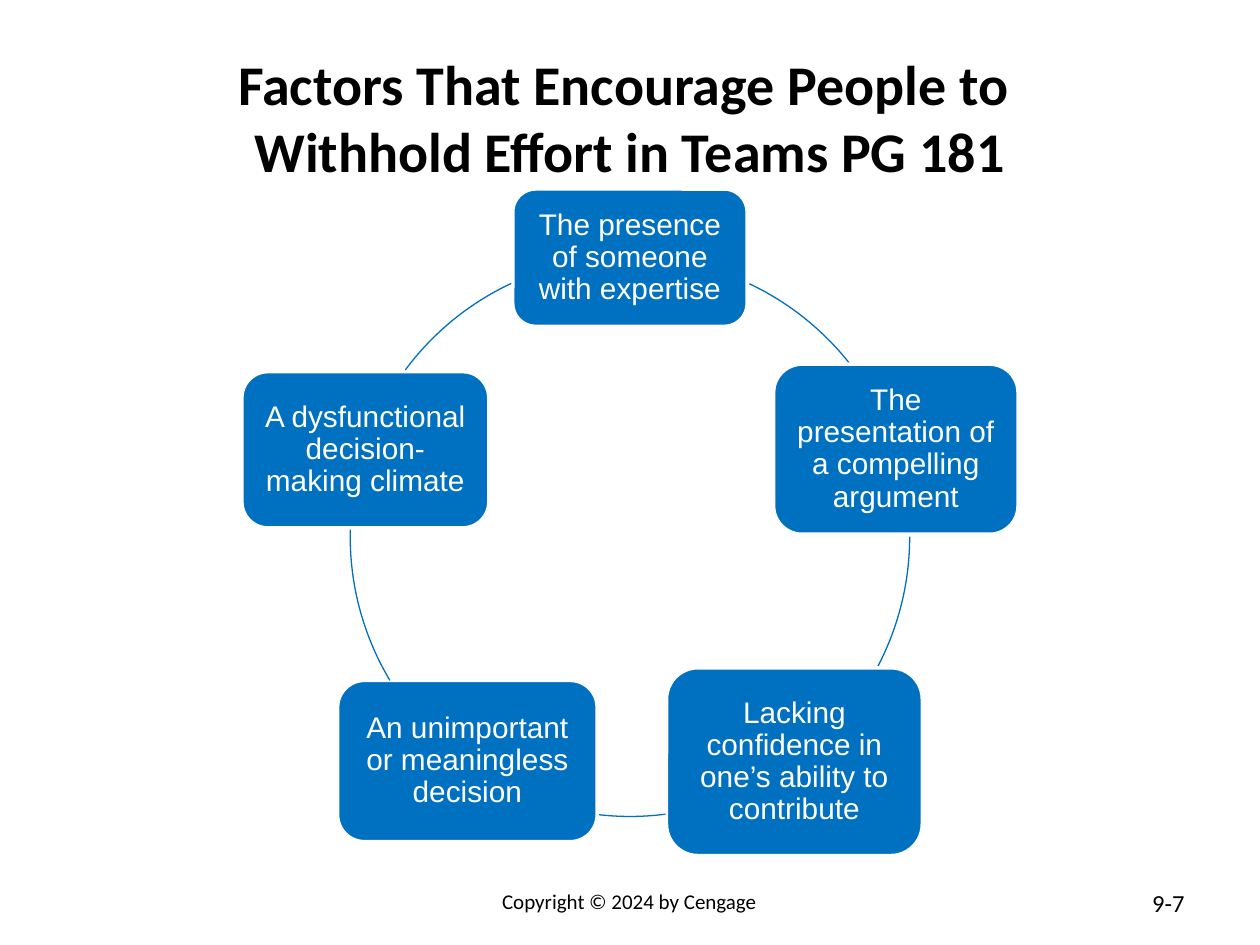
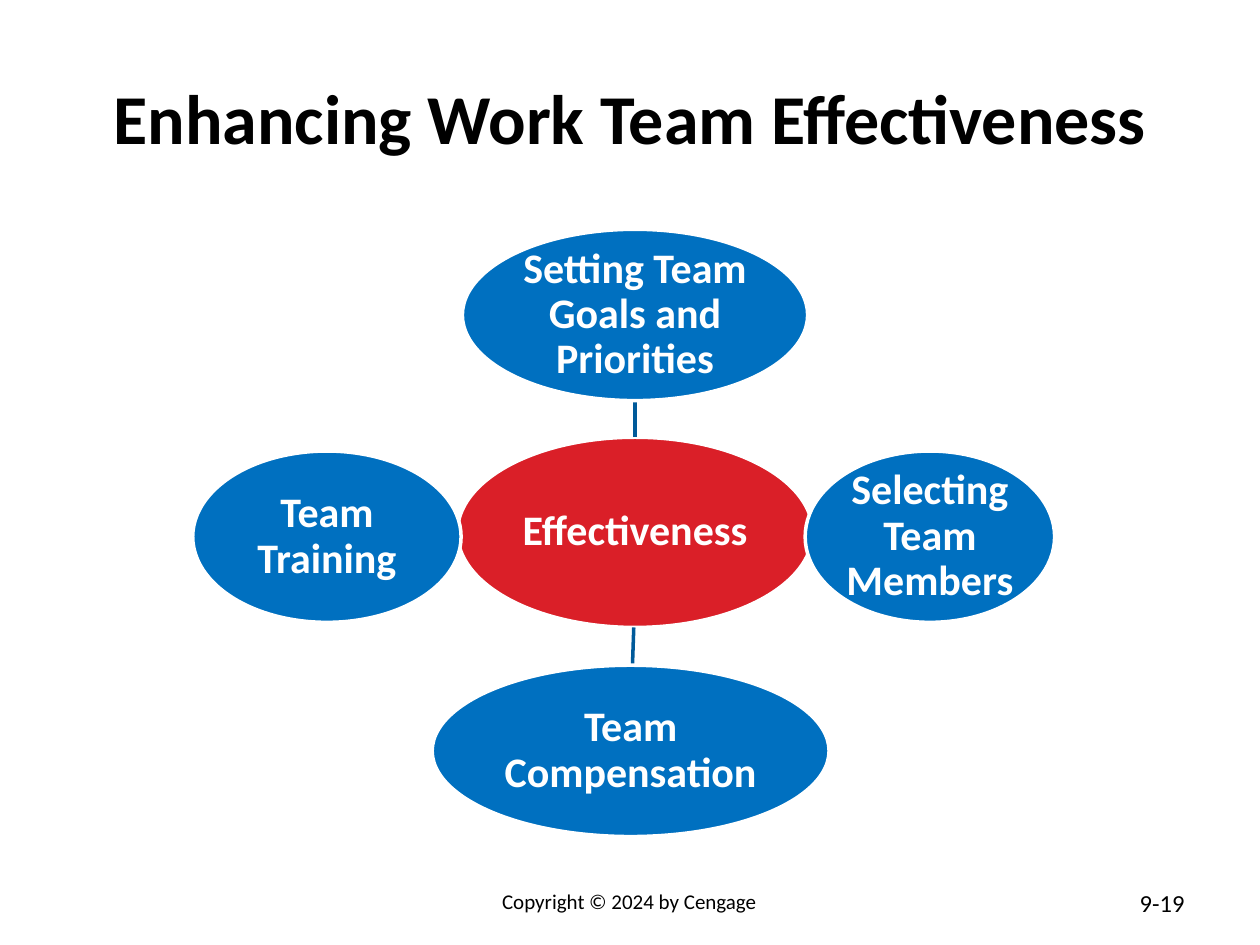
from lxml import etree
from pptx import Presentation
from pptx import util as u
from pptx.dml.color import RGBColor
from pptx.enum import shapes, text
from pptx.oxml import ns

HUES = {"ink": "000000", "blue": "0070C0", "navy": "005A9A",
        "red": "DA1F28", "white": "FFFFFF"}
SHAPE = shapes.MSO_SHAPE
ALIGN = text.PP_ALIGN


def hue(name):
    return RGBColor.from_string(HUES[name])


class Deck:
    def __init__(self):
        self.prs = Presentation()
        self.prs.slide_width = u.Inches(10)
        self.prs.slide_height = u.Inches(7.5)
        self.slide = None

    def page(self, title, size, number):
        """Start a slide with its title and footer."""
        self.slide = self.prs.slides.add_slide(self.prs.slide_layouts[6])
        self.label(title, (0.5, 0.3, 9, 1.25), size, bold=True,
                   anchor=text.MSO_ANCHOR.MIDDLE)
        self.label(number, (7.17, 7, 2.33, 0.35), 14, ALIGN.RIGHT)
        self.label("Copyright © 2024 by Cengage", (2.83, 7, 4.33, 0.35), 12)

    def fill_text(self, frame, words, size, font, color, bold,
                  align=ALIGN.CENTER):
        frame.word_wrap = True
        frame.text = words
        para = frame.paragraphs[0]
        para.alignment = align
        for run in para.runs:
            run.font.name = font
            run.font.size = u.Pt(size)
            run.font.bold = bold
            run.font.color.rgb = hue(color)
        return para

    def label(self, words, box, size, align=ALIGN.CENTER, bold=False,
              anchor=text.MSO_ANCHOR.TOP):
        frame = self.slide.shapes.add_textbox(*map(u.Inches, box)).text_frame
        frame.vertical_anchor = anchor
        self.fill_text(frame, words, size, "Calibri", "ink", bold, align)

    def node(self, kind, words, box, size, font, inset, fill="blue", bold=False):
        """Add a filled shape with a white edge and centred text."""
        shape = self.slide.shapes.add_shape(kind, *map(u.Inches, box))
        shape.shadow.inherit = False
        shape.fill.solid()
        shape.fill.fore_color.rgb = hue(fill)
        self.edge(shape, "white", 2)
        frame = shape.text_frame
        frame.margin_left = frame.margin_right = u.Inches(inset)
        frame.margin_top = frame.margin_bottom = u.Inches(inset)
        frame.vertical_anchor = text.MSO_ANCHOR.MIDDLE
        para = self.fill_text(frame, words, size, font, "white", bold)
        para.line_spacing = 0.9

    def edge(self, shape, color, width):
        shape.line.color.rgb = hue(color)
        shape.line.width = u.Pt(width)

    def arc(self, mid, radius, start, end):
        """Draw part of a circle, clockwise, with angles in degrees."""
        left, top = (u.Inches(c - radius) for c in mid)
        side = u.Inches(2 * radius)
        shape = self.slide.shapes.add_shape(SHAPE.ARC, left, top, side, side)
        shape.shadow.inherit = False
        shape.fill.background()
        # Angles are stored in 1/60000 degree, adjustments in 1/100000.
        for i, angle in enumerate((start, end)):
            shape.adjustments[i] = angle * 0.6
        self.edge(shape, "blue", 0.75)

    def link(self, start, end):
        line = self.slide.shapes.add_connector(
            shapes.MSO_CONNECTOR.STRAIGHT, *map(u.Inches, start + end))
        self.edge(line, "navy", 2)
        etree.SubElement(line._element.spPr, ns.qn("a:effectLst"))


def factors(deck):
    deck.page("Factors That Encourage People to \vWithhold Effort in Teams PG 181",
              32, "9-7")
    ring = [
        ("The presence of someone with expertise",
         (4.07, 1.5, 1.86, 1.09), (295.3, 322)),
        ("The presentation of a compelling argument",
         (6.14, 2.89, 1.94, 1.35), (0, 27.7)),
        ("Lacking confidence in one’s ability to contribute",
         (5.29, 5.3, 2.03, 1.49), (82.7, 96.8)),
        ("An unimportant or meaningless decision",
         (2.68, 5.4, 2.06, 1.28), (149.1, 181.6)),
        ("A dysfunctional decision-making climate",
         (1.92, 2.95, 1.96, 1.24), (216.6, 244.9)),
    ]
    for words, box, angles in ring:
        deck.node(SHAPE.ROUNDED_RECTANGLE, words, box, 17, "Arial", 0.07)
        deck.arc((5, 4.26), 2.22, *angles)


def effects(deck):
    deck.page("Enhancing Work Team Effectiveness", 40, "9-19")

    def oval(words, box, fill="blue"):
        deck.node(SHAPE.OVAL, words, box, 24, "Calibri", 0.02, fill, True)

    oval("Effectiveness", (3.63, 3.47, 2.82, 1.51), "red")
    spokes = [
        ("Setting Team Goals and Priorities", (3.67, 1.82, 2.74, 1.36),
         (5.04, 3.47), (5.04, 3.18)),
        ("Selecting Team Members", (6.39, 3.58, 1.98, 1.36),
         (6.45, 4.25), (6.39, 4.25)),
        ("Team Compensation", (3.43, 5.28, 3.15, 1.36),
         (5.03, 4.98), (5.02, 5.28)),
        ("Team Training", (1.53, 3.58, 2.13, 1.36),
         (3.63, 4.25), (3.66, 4.25)),
    ]
    for words, box, start, end in spokes:
        deck.link(start, end)
        oval(words, box)


def main():
    deck = Deck()
    factors(deck)
    effects(deck)
    deck.prs.save("out.pptx")


if __name__ == "__main__":
    main()
